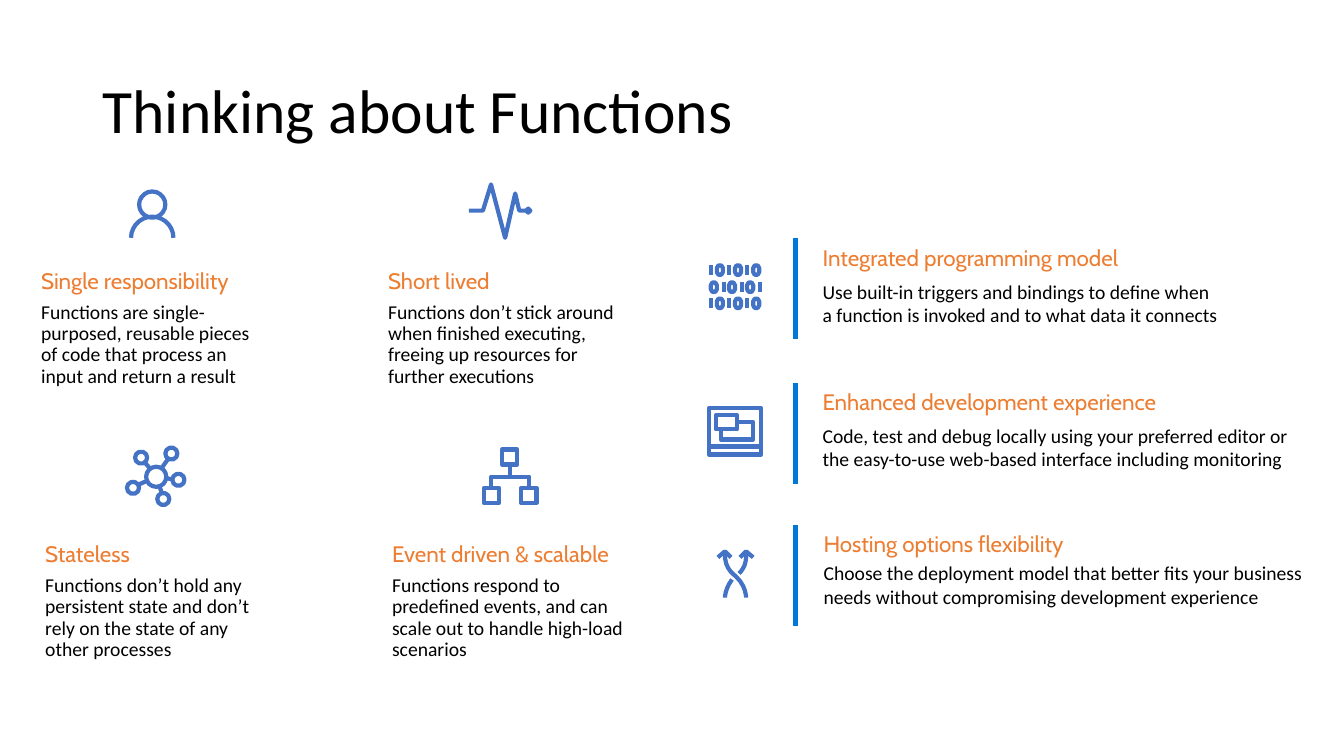
from math import cos, sin, radians
from lxml.etree import SubElement
from pptx import Presentation
from pptx.dml.color import RGBColor
from pptx.enum.shapes import MSO_CONNECTOR
from pptx.enum.text import MSO_ANCHOR, MSO_AUTO_SIZE
from pptx.oxml.ns import qn
from pptx.util import Inches, Pt

TITLE = "Thinking about Functions"
ORANGE, BLACK, BLUE, AZURE = "ED7D31", "000000", "4472C4", "0078D7"

# column, row, width, heading, body
CARDS = [
    (0, 0, 2.4, "Single responsibility",
     "Functions are single-purposed, reusable pieces of code that process an input and return a result"),
    (1, 0, 2.62, "Short lived",
     "Functions don’t stick around when finished executing, freeing up resources for further executions"),
    (1, 1, 2.54, "Event driven & scalable",
     "Functions respond to predefined events, and can scale out to handle high-load scenarios"),
    (0, 1, 2.4, "Stateless",
     "Functions don’t hold any persistent state and don’t rely on the state of any other processes"),
]
# text box, heading line spacing, space after heading, top of bar, heading, body
TRAITS = [
    ((8.06, 2.4, 4.71, 0.9), 0.9, 6, 2.36, "Integrated programming model",
     "Use built-in triggers and bindings to define when\va function is invoked and to what data it connects"),
    ((8.06, 3.83, 5.02, 1.13), 0.9, 6, 3.8, "Enhanced development experience",
     "Code, test and debug locally using your preferred editor or "
     "the easy-to-use web-based interface including monitoring"),
    ((8.07, 5.21, 5.09, 1.12), 1, 3, 5.21, "Hosting options flexibility",
     "Choose the deployment model that better fits your business "
     "needs without compromising development experience"),
]
BAR_X = 7.89
UNITS = 1000  # drawing units per inch
NODES = [(1.7, 4.5), (1.4, 4.54), (1.32, 4.84), (1.62, 4.95), (1.77, 4.76)]


def arc(x, y, r, steps, start=0, sweep=360):
    """Points along a circle, clockwise, angles in degrees."""
    turns = [radians(start + sweep * i / steps) for i in range(steps + 1)]
    return [(x + r * cos(t), y + r * sin(t)) for t in turns]


def ring(x, y, r, steps):
    points = arc(x, y, r, steps)
    return points[:-1] + points[:1]


def curve(a, b, c, d, steps=6):
    """Points along a cubic Bezier curve."""
    out = []
    for i in range(steps + 1):
        t = i / steps
        u = 1 - t
        out.append(tuple(u**3 * p + 3 * u * u * t * q + 3 * u * t * t * r + t**3 * s
                         for p, q, r, s in zip(a, b, c, d)))
    return out


def box(x, y, w, h):
    return [(x, y), (x + w, y), (x + w, y + h), (x, y + h), (x, y)]


def zero(x, y):
    pill = arc(x, y + 0.03, 0.03, 3, 180, 180) + arc(x, y + 0.07, 0.03, 3, 0, 180)
    return pill + pill[:1]


def digits():
    strokes = []
    for row, y in enumerate((2.63, 2.8, 2.96)):
        one, nought = (7.18, 7.08) if row == 1 else (7.05, 7.14)
        for k in range(3):
            x = one + 0.18 * k
            strokes += [[(x, y), (x, y + 0.1)], zero(nought + 0.18 * k, y)]
    return strokes


PERSON = [ring(1.51, 2.03, 0.13, 20), arc(1.51, 2.36, 0.21, 14, 180, 180)]
PULSE = [[(4.65, 2.09), (4.79, 2.09), (4.87, 1.83), (5.01, 2.36), (5.11, 1.92),
          (5.15, 2.09), (5.23, 2.09)], ring(5.24, 2.09, 0.02, 4)]
TREE = [box(4.8, 4.84, 0.15, 0.15), box(5.17, 4.84, 0.15, 0.15), box(4.98, 4.46, 0.15, 0.15),
        [(5.06, 4.61), (5.06, 4.73)],
        [(5.25, 4.84), (5.25, 4.73), (4.87, 4.73), (4.87, 4.84)]]
NETWORK = [ring(1.55, 4.73, 0.1, 16)] + [ring(x, y, 0.06, 10) for x, y in NODES] + [
    [(1.67, 4.55), (1.6, 4.65)], [(1.49, 4.65), (1.43, 4.58)], [(1.37, 4.81), (1.46, 4.77)],
    [(1.61, 4.9), (1.58, 4.82)], [(1.64, 4.74), (1.72, 4.76)]]
WINDOWS = [box(7.03, 4.05, 0.52, 0.46), box(7.1, 4.12, 0.21, 0.14),
           [(7.15, 4.27), (7.15, 4.36), (7.47, 4.36), (7.47, 4.19), (7.31, 4.19)],
           [(7.03, 4.43), (7.55, 4.43)]]
ROUTES = [curve((7.4, 5.47), (7.41, 5.59), (7.37, 5.65), (7.33, 5.69)),
          curve((7.26, 5.75), (7.19, 5.84), (7.19, 5.93), (7.19, 5.93)),
          curve((7.19, 5.47), (7.18, 5.62), (7.25, 5.68), (7.3, 5.72))
          + curve((7.3, 5.72), (7.4, 5.81), (7.4, 5.93), (7.4, 5.93))[1:],
          [(7.25, 5.53), (7.19, 5.47), (7.12, 5.53)],
          [(7.47, 5.53), (7.4, 5.47), (7.34, 5.53)]]
ICONS = [PERSON, PULSE, TREE, NETWORK, digits(), WINDOWS, ROUTES]


def paint(color, value):
    color.rgb = RGBColor.from_string(value)


def write(slide, place, lines):
    """Add a text box; each line is text, size, font, colour, spacing, space after."""
    frame = slide.shapes.add_textbox(*map(Inches, place)).text_frame
    frame.word_wrap = True
    for i, (text, size, face, color, gap, after) in enumerate(lines):
        para = frame.add_paragraph() if i else frame.paragraphs[0]
        para.text = text
        para.line_spacing = gap
        para.space_after = Pt(after)
        for run in para.runs:
            run.font.size = Pt(size)
            run.font.name = face
            paint(run.font.color, color)
    return frame


def block(slide, place, head, body, gaps, after):
    frame = write(slide, place, [(head, 16, "Cabin", ORANGE, gaps[0], after),
                                 (body, 14, "Calibri", BLACK, gaps[1], 3)])
    frame.auto_size = MSO_AUTO_SIZE.SHAPE_TO_FIT_TEXT


def sketch(slide, strokes):
    """Draw the strokes of one icon as a single unfilled outline."""
    pen = None
    for stroke in strokes:
        points = [(x * UNITS, y * UNITS) for x, y in stroke]
        if pen:
            pen.move_to(*points[0])
        else:
            pen = slide.shapes.build_freeform(*points[0], scale=Inches(1) / UNITS)
        shut = points[0] == points[-1]
        pen.add_line_segments(points[1:-1] if shut else points[1:], close=shut)
    icon = pen.convert_to_shape()
    icon.shadow.inherit = False
    icon.fill.background()
    icon.line.width = Pt(3)
    paint(icon.line.color, BLUE)


def bar(slide, top):
    line = slide.shapes.add_connector(MSO_CONNECTOR.STRAIGHT, Inches(BAR_X), Inches(top),
                                      Inches(BAR_X), Inches(top + 1))
    line.line.width = Pt(3)
    paint(line.line.color, AZURE)
    SubElement(line._element.spPr, qn("a:effectLst"))


def main():
    deck = Presentation()
    deck.slide_width, deck.slide_height = Inches(13.33), Inches(7.5)
    slide = deck.slides.add_slide(deck.slide_layouts[6])
    title = write(slide, (0.92, 0.4, 11.5, 1.45), [(TITLE, 44, "Calibri", BLACK, 0.9, 0)])
    title.vertical_anchor = MSO_ANCHOR.MIDDLE
    for col, row, width, head, body in CARDS:
        place = (0.31 + 3.44 * col + 0.04 * row, 2.63 + 2.71 * row, width, (1.49, 1.28)[row])
        block(slide, place, head, body, (0.9, 0.9), 6)
    for place, gap, after, top, head, body in TRAITS:
        block(slide, place, head, body, (gap, 1), after)
        bar(slide, top)
    for strokes in ICONS:
        sketch(slide, strokes)
    deck.save("out.pptx")


if __name__ == "__main__":
    main()
